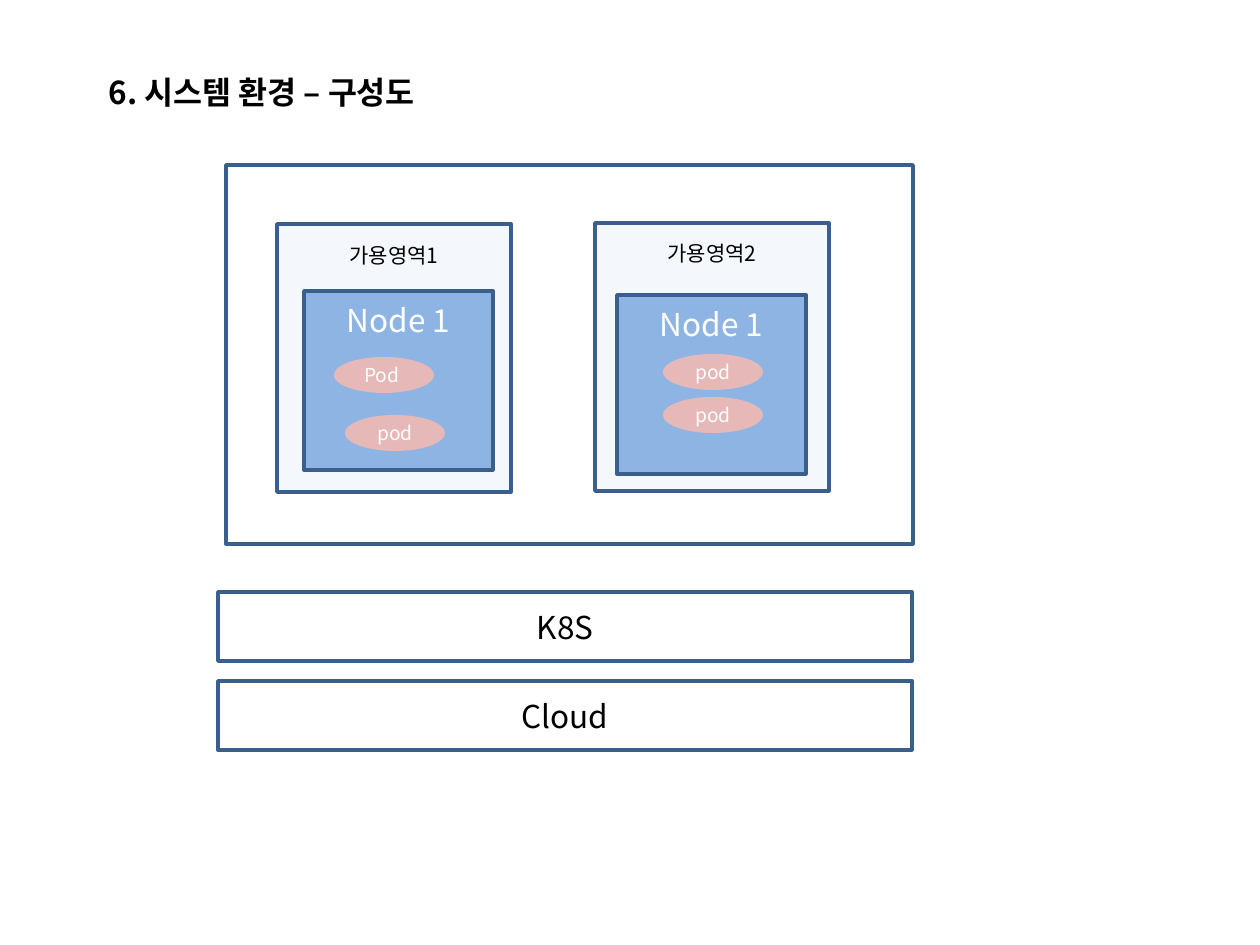
from lxml.etree import SubElement
from pptx import Presentation
from pptx.dml.color import RGBColor
from pptx.enum.shapes import MSO_SHAPE as Shape
from pptx.enum.text import MSO_ANCHOR as Anchor, MSO_AUTO_SIZE as AutoSize, PP_ALIGN as Align
from pptx.oxml.ns import qn
from pptx.util import Emu, Pt

FONT = "Noto Sans CJK KR"
COLORS = {
    "text": "000000",
    "light": "FFFFFF",
    "border": "3A5F8C",
    "zone": "C6D9F1",
    "node": "8EB4E3",
    "pod": "E6B9B8",
}


def px(value):
    return Emu(round(value * 914400 / 126))


def color(name):
    return RGBColor.from_string(COLORS[name])


def write_text(shape, text, size, color_name="text", align=Align.CENTER, bold=False):
    frame = shape.text_frame
    frame.text = text
    frame.word_wrap = True
    frame.vertical_anchor = Anchor.MIDDLE
    paragraph = frame.paragraphs[0]
    paragraph.alignment = align
    for run in paragraph.runs:
        run.font.name = FONT
        run.font.size = Pt(size)
        run.font.bold = bold
        run.font.color.rgb = color(color_name)
        SubElement(run.font._element, qn("a:ea"), typeface=FONT)


def align_top(shape, inset):
    shape.text_frame.vertical_anchor = Anchor.TOP
    shape.text_frame.margin_top = px(inset)


def add_box(slide, left, top, width, height, fill=None, border="border", kind=Shape.RECTANGLE):
    box = slide.shapes.add_shape(kind, px(left), px(top), px(width), px(height))
    box.shadow.inherit = False
    if fill:
        box.fill.solid()
        box.fill.fore_color.rgb = color(fill)
    else:
        box.fill.background()
    if border:
        box.line.color.rgb = color(border)
        box.line.width = Pt(2)
    else:
        box.line.fill.background()
    return box


def add_title(slide, text):
    title = slide.shapes.title
    title.left, title.top, title.width, title.height = px(96), px(67), px(595), px(50)
    write_text(title, text, 18, align=Align.LEFT, bold=True)
    title.text_frame.auto_size = AutoSize.NONE


def add_zone(slide, left, top, label):
    zone = add_box(slide, left, top, 234, 268, "zone")
    fill_color = zone.fill._xPr.find(qn("a:solidFill"))[0]
    SubElement(fill_color, qn("a:alpha"), val="19000")
    write_text(zone, label, 12)
    align_top(zone, 18)


def add_node(slide, left, top, label):
    node = add_box(slide, left, top, 189, 179, "node")
    write_text(node, label, 18, "light")
    align_top(node, 10)


def add_pod(slide, left, top, label):
    pod = add_box(slide, left, top, 100, 36, "pod", None, Shape.OVAL)
    write_text(pod, label, 11, "light")


def add_layer(slide, top, label):
    layer = add_box(slide, 218, top, 694, 69)
    write_text(layer, label, 18)


def main():
    presentation = Presentation()
    presentation.slide_width, presentation.slide_height = px(1260), px(945)
    slide = presentation.slides.add_slide(presentation.slide_layouts[5])
    add_title(slide, "6. 시스템 환경 – 구성도")
    add_box(slide, 226, 165, 687, 379)

    zones = [
        ("가용영역1", (277, 224), (304, 291), [("Pod ", 334, 357), ("pod", 345, 415)]),
        ("가용영역2", (595, 223), (617, 295), [("pod", 663, 354), ("pod", 663, 397)]),
    ]
    for label, zone_position, node_position, pods in zones:
        add_zone(slide, *zone_position, label)
        add_node(slide, *node_position, "Node 1")
        for pod_label, left, top in pods:
            add_pod(slide, left, top, pod_label)

    for top, label in [(592, "K8S"), (681, "Cloud")]:
        add_layer(slide, top, label)
    presentation.save("out.pptx")


if __name__ == "__main__":
    main()
